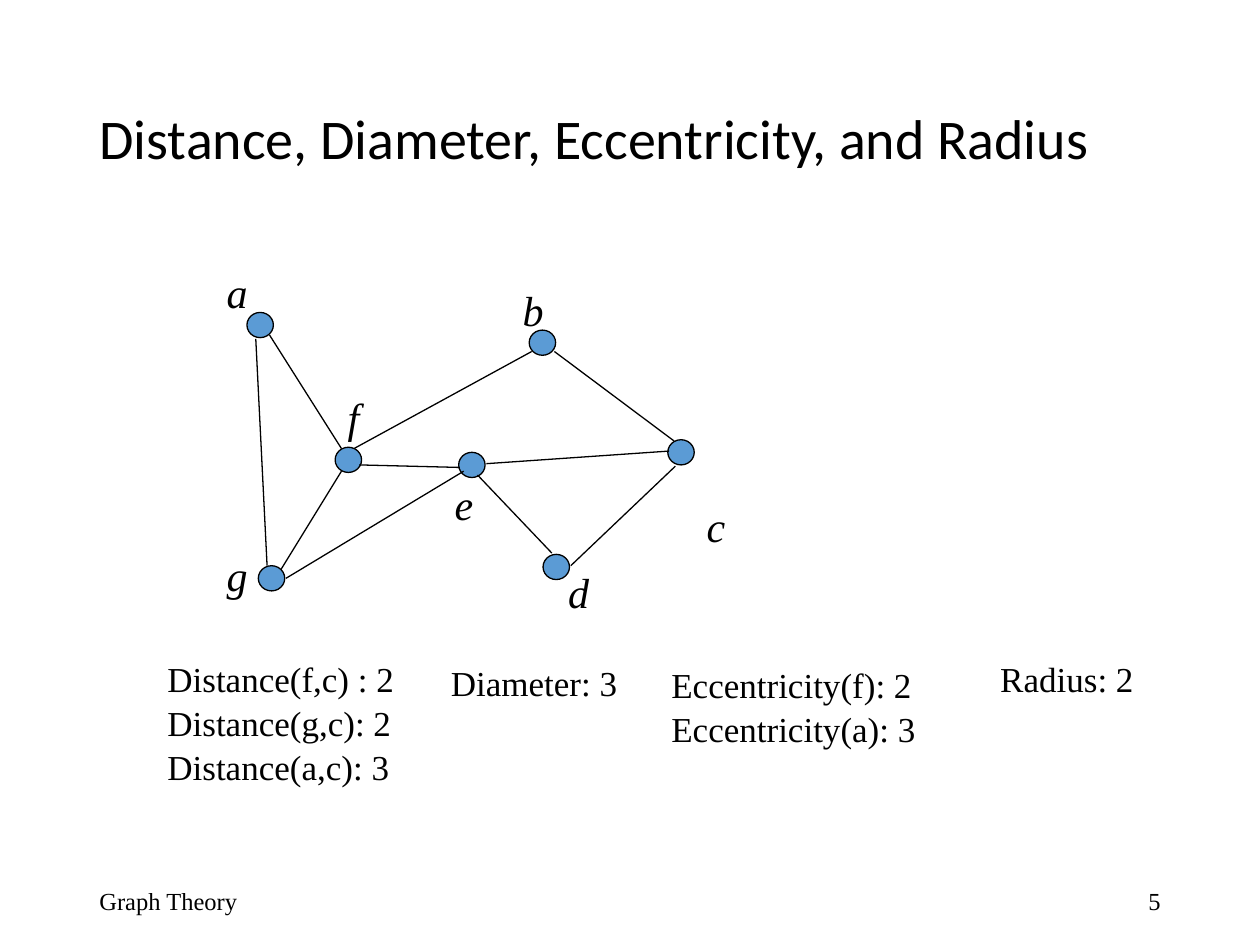
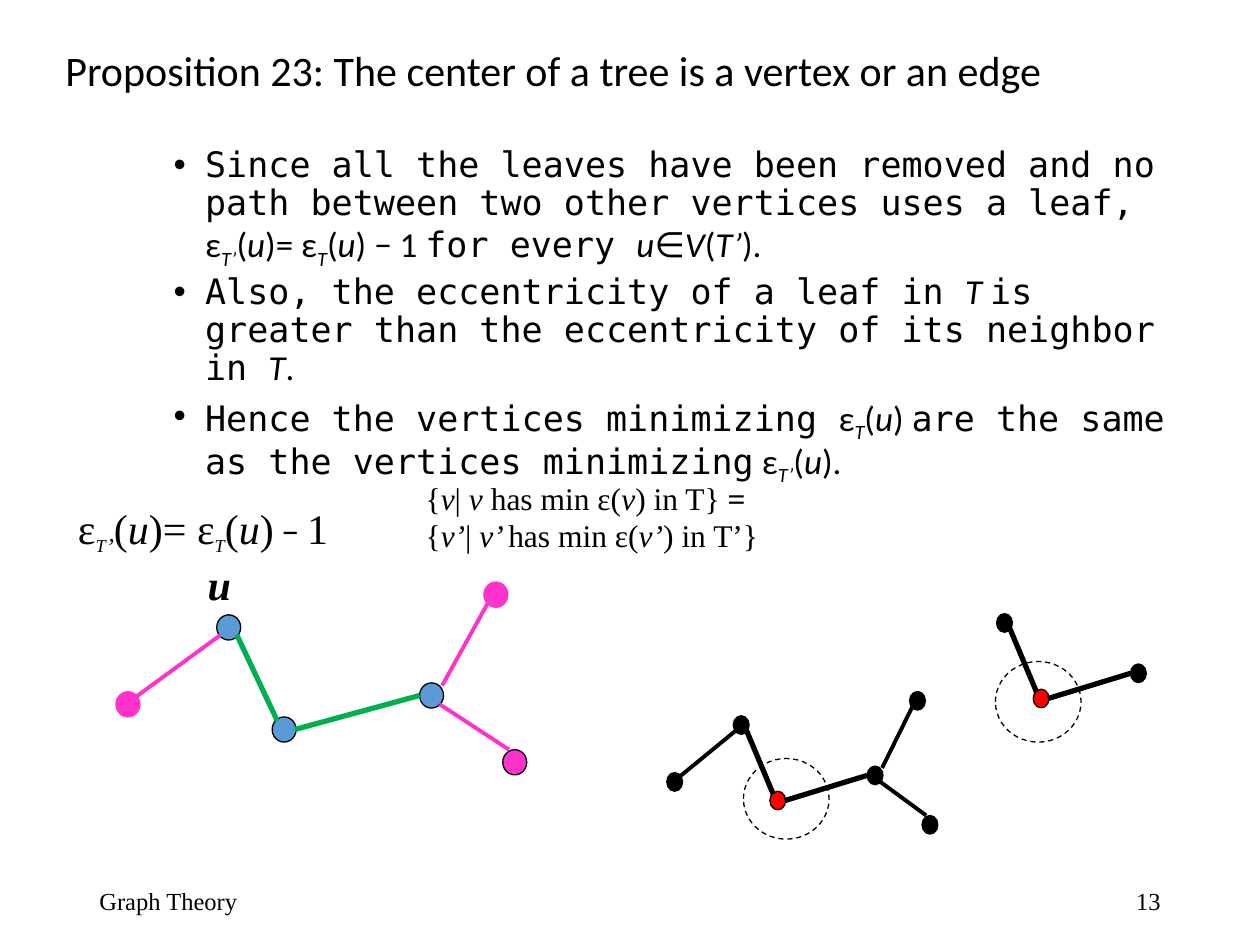
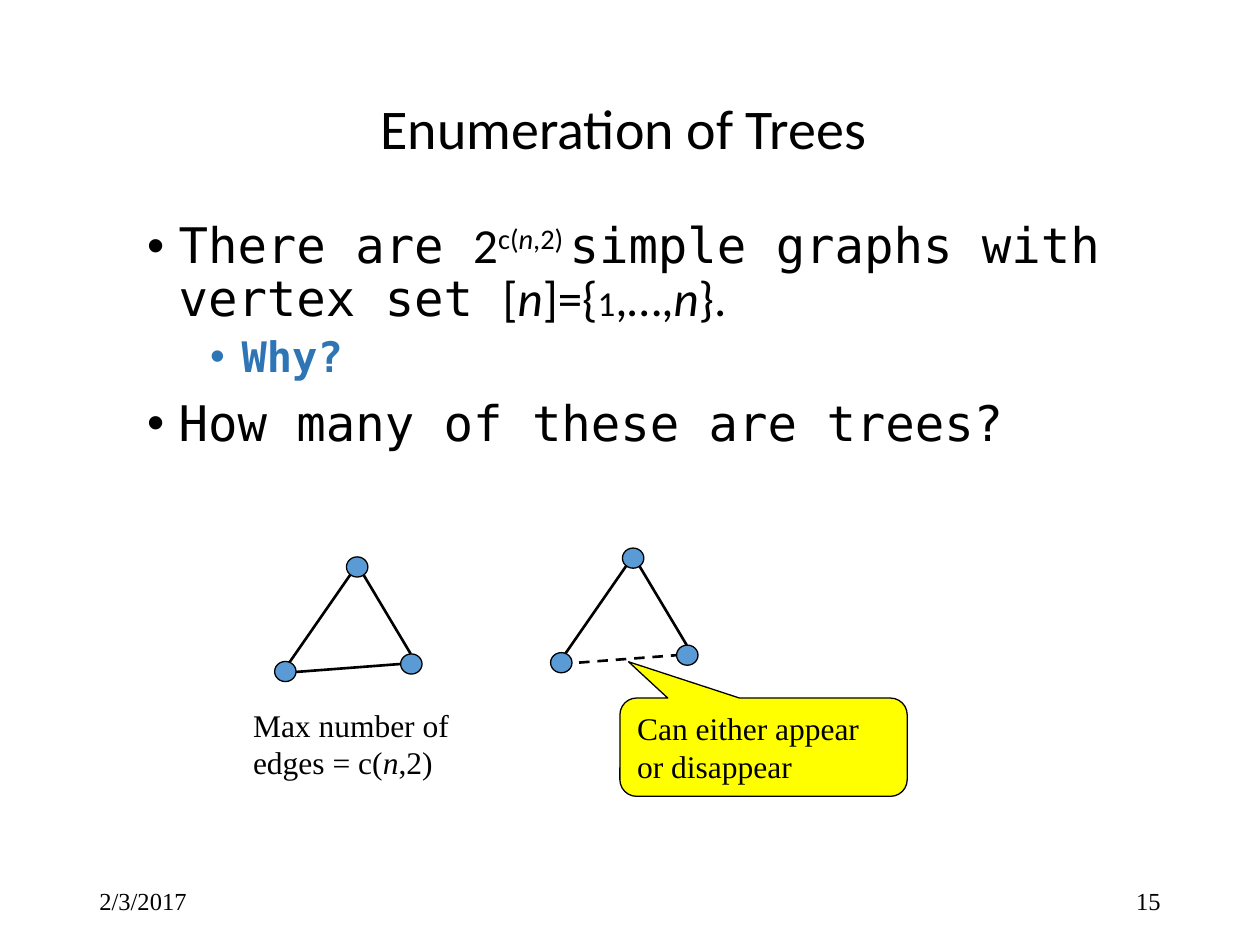
import pptx
import pptx.util
import pptx.dml.color
import pptx.enum.dml
import pptx.enum.shapes
import pptx.enum.text
import pptx.oxml.ns
import lxml.etree

INK = {"black": "000000", "blue": "5B9BD5", "deep": "2E75B6", "green": "00B050",
       "pink": "FF33CC", "red": "FF0000", "yellow": "FFFF00"}
FACES = {"c": "Calibri", "m": "DejaVu Sans Mono", "t": "Times New Roman"}
COLS, ROWS = 100, 75
ALIGN = pptx.enum.text.PP_ALIGN
ANCHOR = pptx.enum.text.MSO_ANCHOR
SHAPE = pptx.enum.shapes.MSO_SHAPE
DASH = pptx.enum.dml.MSO_LINE.DASH


def rgb(name):
    return pptx.dml.color.RGBColor.from_string(INK[name])


def mix(text, marks="t"):
    return [(part, marks + "i" * (n % 2))
            for n, part in enumerate(text.split("*")) if part]


def ecc(sub, face="c"):
    return [("ε", face), *sub, *mix("(*u*)", face)]


class Deck:
    def __init__(self):
        self.show = pptx.Presentation()
        self.show.slide_width = pptx.util.Inches(10)
        self.show.slide_height = pptx.util.Inches(7.5)
        self.col = self.show.slide_width / COLS
        self.row = self.show.slide_height / ROWS

    def place(self, box):
        x, y, w, h = box
        return [round(v) for v in (x * self.col, y * self.row, w * self.col, h * self.row)]

    def page(self, foot, num):
        self.slide = self.show.slides.add_slide(self.show.slide_layouts[6])
        self.text((6.9, 69.5, 22.5, 4), [foot], 14, anchor=ANCHOR.MIDDLE)
        self.text((70.6, 69.5, 22.5, 4), [num], 14, ALIGN.RIGHT, ANCHOR.MIDDLE)

    def title(self, box, text, size, align=ALIGN.LEFT):
        frame = self.text(box, [[(text, "c")]], size, align, ANCHOR.MIDDLE)
        frame.paragraphs[0].line_spacing = 0.9

    def text(self, box, lines, size, align=ALIGN.LEFT, anchor=ANCHOR.TOP, gap=0):
        frame = self.slide.shapes.add_textbox(*self.place(box)).text_frame
        self.put(frame, lines, size, align, anchor, gap)
        return frame

    def put(self, frame, lines, size, align=ALIGN.LEFT, anchor=ANCHOR.TOP, gap=0):
        frame.word_wrap = True
        frame.vertical_anchor = anchor
        for n, line in enumerate(lines):
            para = frame.add_paragraph() if n else frame.paragraphs[0]
            para.alignment = align
            if n and gap:
                para.space_before = pptx.util.Pt(gap)
            self.runs(para, [(line, "t")] if isinstance(line, str) else line, size)

    def runs(self, para, parts, size):
        para.text = parts[0][0]
        for part in parts[1:]:
            para.add_run().text = part[0]
        for run, (_, marks, *own) in zip(para.runs, parts):
            font = run.font
            font.name = FACES[marks[0]]
            font.size = pptx.util.Pt(own[0] if own else size)
            font.bold = "b" in marks
            font.italic = "i" in marks
            font.color.rgb = rgb("deep" if "a" in marks else "black")
            for mark, shift in (("_", "-25000"), ("^", "30000")):
                if mark in marks:
                    font._element.set("baseline", shift)

    def points(self, box, items):
        frame = self.text(box, [], 20)
        for n, (level, size, gap, parts) in enumerate(items):
            para = frame.add_paragraph() if n else frame.paragraphs[0]
            para.level = level
            para.line_spacing = 0.9
            para.space_before = pptx.util.Pt(gap if n else 0)
            props = para._p.get_or_add_pPr()
            props.set("marL", str(pptx.util.Inches(0.25 + 0.5 * level)))
            props.set("indent", str(pptx.util.Inches(-0.25)))
            for tag, key, val in (("a:buFont", "typeface", "Arial"), ("a:buChar", "char", "•")):
                lxml.etree.SubElement(props, pptx.oxml.ns.qn(tag)).set(key, val)
            self.runs(para, parts, size)

    def shape(self, kind, box, fill=None, line="black", dash=False):
        shape = self.slide.shapes.add_shape(kind, *self.place(box))
        shape.shadow.inherit = False
        if fill:
            shape.fill.solid()
            shape.fill.fore_color.rgb = rgb(fill)
        else:
            shape.fill.background()
        self.pen(shape.line, line, 0.75, dash)
        return shape

    def pen(self, line, tint, width, dash=False):
        line.color.rgb = rgb(tint)
        line.width = pptx.util.Pt(width)
        if dash:
            line.dash_style = DASH

    def dots(self, spots, size, fill="blue"):
        for spot in spots:
            self.shape(SHAPE.OVAL, (*spot, *size), fill)

    def edge(self, ends, tint="black", width=0.75, dash=False):
        edge = self.slide.shapes.add_connector(
            pptx.enum.shapes.MSO_CONNECTOR.STRAIGHT, *self.place(ends))
        self.pen(edge.line, tint, width, dash)
        lxml.etree.SubElement(edge._element.spPr, pptx.oxml.ns.qn("a:effectLst"))

    def tree(self, x, y, scale, dots, edges):
        sx, sy = scale
        for (dx, dy), (fill, line) in zip(NODES, dots):
            self.shape(SHAPE.OVAL, (x + dx * sx, y + dy * sy, 1.9 * sx, 2 * sy), fill, line)
        for (ax, ay, bx, by), (tint, width) in zip(LINKS, edges):
            self.edge((x + ax * sx, y + ay * sy, x + bx * sx, y + by * sy), tint, width)


NODES = [(0, 0), (11.7, -2.7), (-4.4, -8.1), (16.8, -10.7), (18.3, 2.6), (-12.4, -2)]
LINKS = [(1.8, 1, 11.7, -1.7), (0.4, 0.3, -2.8, -6.5), (13.5, -2.5, 17.1, -9),
         (18.8, 2.6, 13.3, -1), (-10.8, -1.6, -4.1, -6.5)]


def radius(deck):
    deck.page("Graph Theory", "5")
    deck.title((6.9, 4, 86.2, 14.5), "Distance, Diameter, Eccentricity, and Radius", 32)
    deck.dots([(19.6, 24.8), (42, 26.2), (53, 34.9), (43.1, 44), (20.5, 44.9),
               (36.4, 35.9), (26.6, 35.5)], (2.1, 2))
    for ends in [(22.3, 45.2, 27.1, 37.4), (21.4, 26.6, 27.1, 35.6), (20.3, 26.9, 21.2, 44.9),
                 (22.7, 45.9, 36.8, 37.4), (28.5, 36.9, 36.5, 37.1), (37.9, 37.7, 43.8, 43.9),
                 (38.6, 36.8, 53.1, 35.8), (45.3, 44.9, 53.6, 37), (44, 27.9, 53.5, 35),
                 (28.1, 35.6, 42.2, 27.9)]:
        deck.edge(ends)
    for name, x, y in [("a", 17, 20.7), ("b", 40.5, 22.1), ("c", 55.1, 39.2), ("d", 44.1, 44.5),
                       ("e", 35.1, 37.5), ("f", 26.6, 30.6), ("g", 17, 43.1)]:
        deck.text((x, y, 5.1, 5), [[(name, "ti")]], 24)
    for box, lines in [
            ((12.3, 51.7, 20.8, 11.4), ["Distance(f,c) : 2", "Distance(g,c): 2", "Distance(a,c): 3"]),
            ((52.3, 52.2, 24.1, 7.8), ["Eccentricity(f): 2", "Eccentricity(a): 3"]),
            ((34.8, 52, 17.2, 4.3), ["Diameter: 3"]),
            ((78.4, 51.7, 14.6, 4.3), ["Radius: 2"])]:
        deck.text(box, lines, 20, gap=1)


def center(deck):
    deck.page("Graph Theory", "13")
    whole, less = [("T", "ci_")], [("T’", "ci_")]
    deck.points((7.8, 11.2, 87.3, 25.2), [(1, 20, 5, parts) for parts in (
        [("Since all the leaves have been removed and no path between two other "
          "vertices uses a leaf, ", "m"), *ecc(less), ("= ", "c"), *ecc(whole),
         (" − 1 ", "c"), ("for every ", "m"), *mix("*u*∈*V*(*T’*).", "c")],
        [("Also, the eccentricity of a leaf in ", "m"), ("T ", "ci"),
         ("is greater than the eccentricity of its neighbor in ", "m"), *mix("*T*.", "c")],
        [("Hence the vertices minimizing ", "m"), *ecc(whole), (" ", "c"),
         ("are the same as the vertices minimizing", "m"), (" ", "c"), *ecc(less),
         (".", "c")])])
    pink = ("pink", "pink")
    deck.tree(21.6, 56.9, (1, 1), [("blue", "black")] * 3 + [pink, ("pink", "black"), pink],
              [("green", 3)] * 2 + [("pink", 2.25)] * 3)
    small = (0.66, 0.74)
    thick = [("black", 3)] * 2
    mid = [("red", "black")]
    rest = [("black", "black")]
    deck.tree(61.1, 62.8, small, mid + rest * 5, thick + [("black", 2.25)] * 3)
    deck.tree(82, 54.7, small, mid + rest * 2, thick)
    for x, y in [(59, 60.2), (79, 52.5)]:
        deck.shape(SHAPE.OVAL, (x, y, 6.8, 6.4), dash=True)
    deck.text((15.5, 43.8, 5.5, 5), [[("u", "tbi")]], 24)
    base = ("T", "ti_", 18)
    deck.text((5.2, 39.4, 25.1, 5), [[*ecc([base, ("’", "ti_")], "t"), ("= ", "t"),
                                     *ecc([base], "t"), (" − ", "c", 20), ("1", "t")]], 24)
    deck.text((32.8, 37.5, 38, 7), [mix("{*v*| *v* has min ε(*v*) in T} ") + [("=", "tb")],
                                   mix("{*v’*| *v’ *has min ε(*v’*) in T’}")], 18)
    deck.title((4.2, 1.7, 90.8, 8.1),
               "Proposition 23: The center of a tree is a vertex or an edge", 24)


def count(deck):
    deck.page("2/3/2017", "15")
    deck.title((7.5, 6.7, 85, 7.5), "Enumeration of Trees ", 32, ALIGN.CENTER)
    deck.points((10.7, 17.1, 81, 22.3), [
        (0, 28, 10, [("There are ", "m"), ("2", "c"), *mix("c(*n*,2) ", "c^"),
                     ("simple graphs with vertex set ", "m"), *mix("[*n*]={", "c"),
                     ("1", "c", 20), *mix(",…,*n*}.", "c")]),
        (1, 24, 5, [("Why?", "mba")]),
        (0, 28, 10, [("How many of these are trees?", "m")])])
    for x, y, dash in [(21.8, 44.2, False), (43.7, 43.5, True)]:
        deck.edge((x + 6.5, y + 0.7, x + 0.6, y + 9.2), width=1.5)
        deck.edge((x + 6.5, y + 0.5, x + 10.8, y + 7.7), width=1.5)
        deck.edge((x + 0.8, y + 9.2, x + 10, y + 8.5), width=1.5, dash=dash)
        deck.dots([(x + 5.7, y), (x, y + 8.3), (x + 10, y + 7.7)], (1.7, 1.6))
    deck.text((19.1, 55.5, 21.8, 7.1), [mix("Max number of edges = c(*n*,2)")], 18)
    note = deck.shape(SHAPE.ROUNDED_RECTANGULAR_CALLOUT, (49.2, 55.4, 22.8, 7.8), "yellow")
    for n, val in enumerate((-0.47, -0.87, 0.17)):
        note.adjustments[n] = val
    deck.put(note.text_frame, ["Can either appear or disappear"], 18)


def main():
    deck = Deck()
    for build in (radius, center, count):
        build(deck)
    deck.show.save("out.pptx")


if __name__ == "__main__":
    main()
